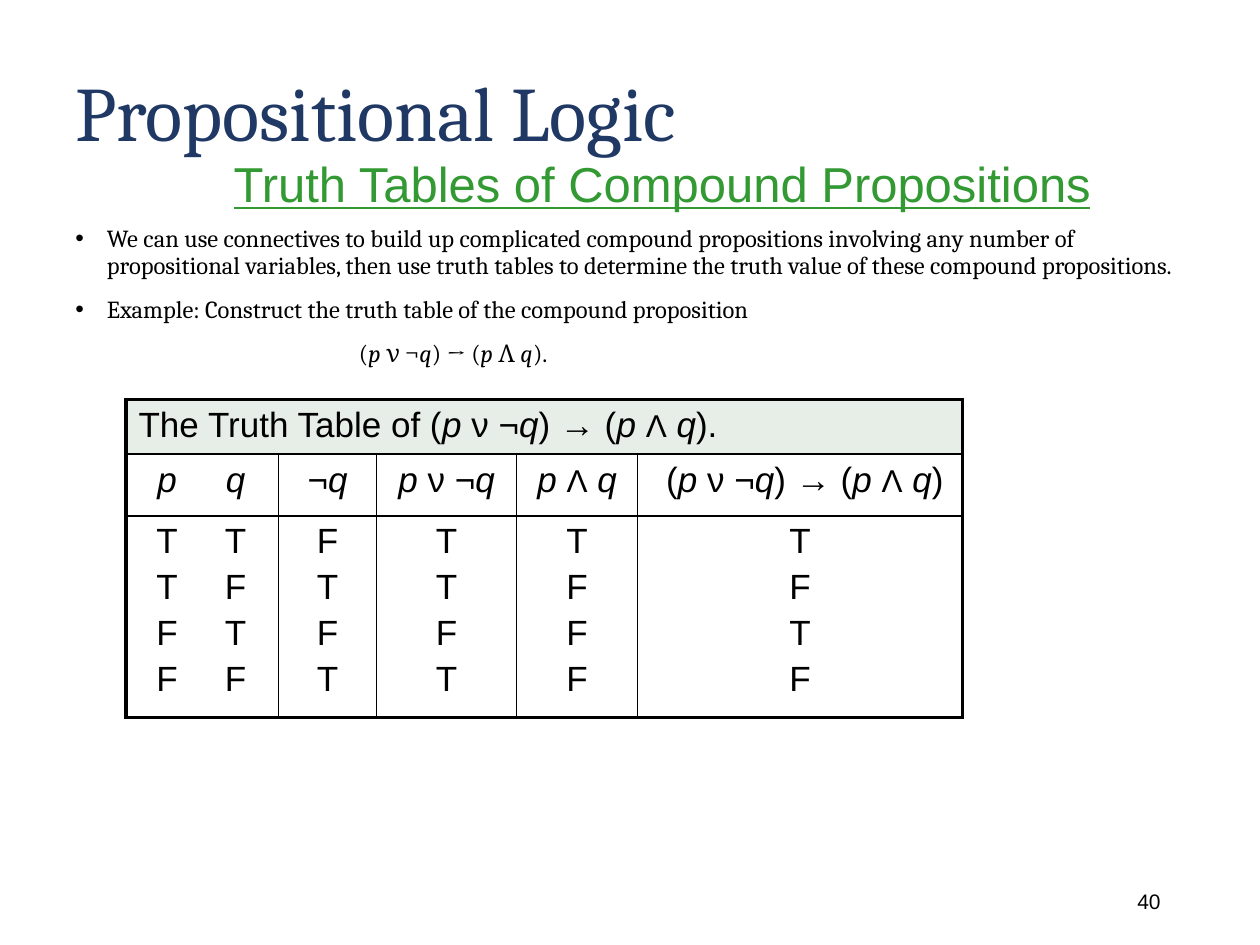
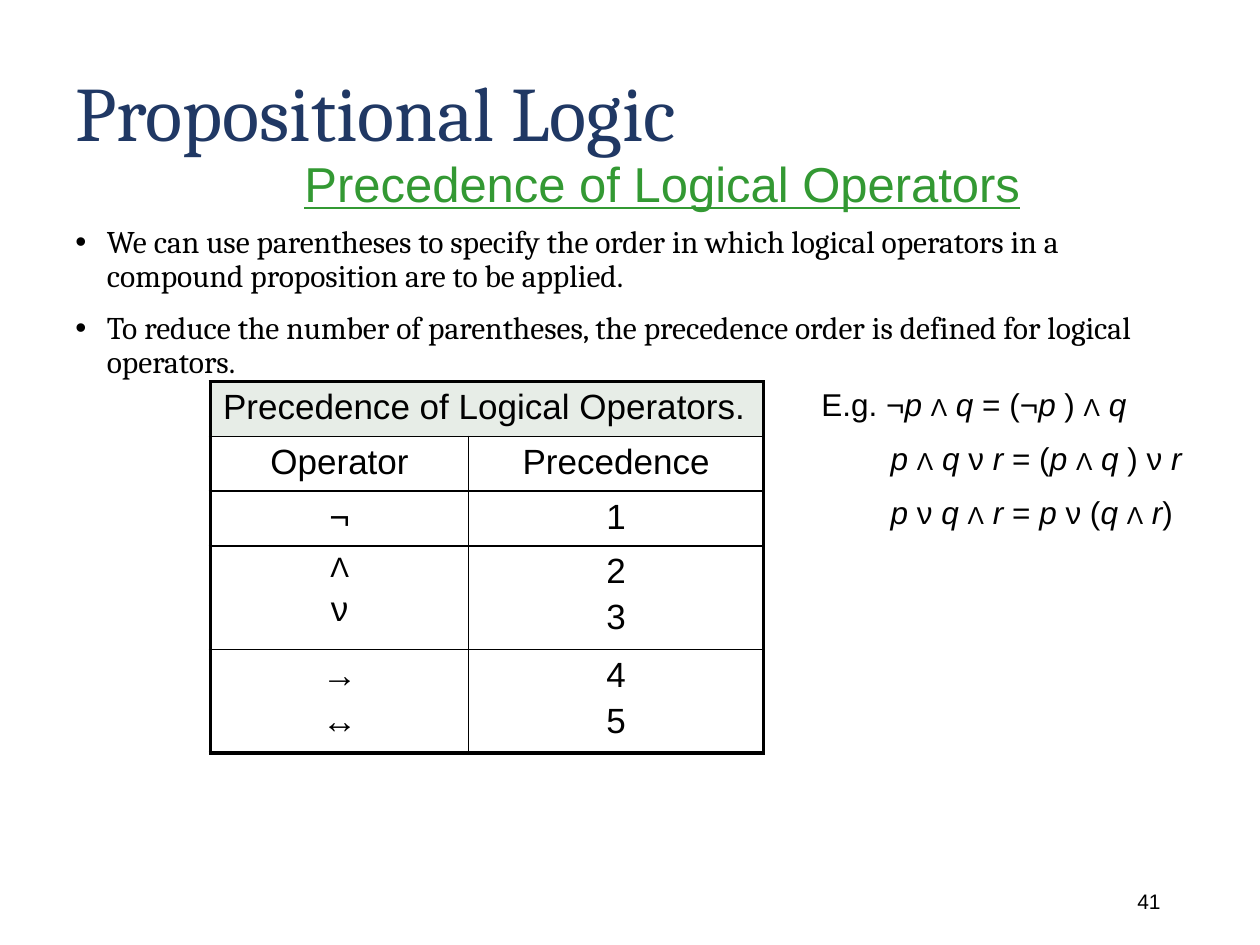
"""Build two slides on truth tables and operator precedence in propositional logic."""
from itertools import groupby

from lxml import etree
from pptx import Presentation
from pptx.dml.color import RGBColor
from pptx.enum.text import MSO_ANCHOR, PP_ALIGN
from pptx.oxml.ns import qn
from pptx.util import Emu, Inches, Pt

NAVY = RGBColor(0x20, 0x38, 0x64)
GREEN = RGBColor(0x33, 0x99, 0x33)
BLACK = RGBColor(0, 0, 0)
PALE_GREEN = RGBColor(0xE7, 0xED, 0xE7)
LEFT, CENTER, RIGHT = PP_ALIGN.LEFT, PP_ALIGN.CENTER, PP_ALIGN.RIGHT
TOP, MIDDLE = MSO_ANCHOR.TOP, MSO_ANCHOR.MIDDLE
SERIF, SANS = "Cambria", "Arial"
COLUMNS, ROWS = 100, 75
THICK, THIN = Pt(2.25), Pt(1)
PAIR_TABS = (2.25, 7.7)


class Deck:
    """Hold the shared style, the grid and the current slide."""

    def __init__(self):
        self.prs = Presentation()
        self.prs.slide_width, self.prs.slide_height = Inches(10), Inches(7.5)
        self.slide = None

    def x(self, columns):
        return Emu(round(self.prs.slide_width * columns / COLUMNS))

    def y(self, rows):
        return Emu(round(self.prs.slide_height * rows / ROWS))

    def place(self, left, top, width, height):
        return self.x(left), self.y(top), self.x(width), self.y(height)

    def start(self, topic, number):
        self.slide = self.prs.slides.add_slide(self.prs.slide_layouts[6])
        title = self.text((5, 3, 90, 12.5), ["Propositional Logic"], 44, SERIF, NAVY, anchor=MIDDLE)
        title.paragraphs[0].line_spacing = 0.9
        heading = self.text((16.7, 11.7, 71.7, 5.7), [topic], 28, SANS, GREEN, CENTER, before=50)
        heading.paragraphs[0].font.underline = True
        self.text((70.6, 69.5, 22.5, 4), [number], 12, SANS, BLACK, RIGHT, MIDDLE)

    def text(self, area, lines, size, font, color=BLACK, align=LEFT, anchor=TOP, **style):
        frame = self.slide.shapes.add_textbox(*self.place(*area)).text_frame
        frame.word_wrap = True
        frame.vertical_anchor = anchor
        self.fill(frame, lines, size, font, color, align, **style)
        return frame

    def fill(self, frame, lines, size, font, color, align, before=0, small=None):
        """Write lines in which *stars* mark italics and small sizes the conjunction sign."""
        for index, line in enumerate(lines):
            paragraph = frame.add_paragraph() if index else frame.paragraphs[0]
            paragraph.alignment = align
            if before:
                self.space_before(paragraph, before)
            paragraph.font.size, paragraph.font.name = Pt(size), font
            paragraph.font.color.rgb = color
            for part, words in enumerate(line.split("*")):
                for is_sign, letters in groupby(words, lambda letter: letter == "Λ"):
                    run = paragraph.add_run()
                    run.text = "".join(letters)
                    if part % 2:
                        run.font.italic = True
                    if is_sign and small:
                        run.font.size = Pt(small)

    def space_before(self, paragraph, percent):
        paragraph.space_before = Pt(0)
        spacing = paragraph._p.pPr.find(qn("a:spcBef"))
        spacing.remove(spacing[0])
        etree.SubElement(spacing, qn("a:spcPct"), val=str(percent * 1000))

    def indent(self, paragraph, margin, first=0):
        properties = paragraph._p.get_or_add_pPr()
        properties.set("marL", str(self.x(margin)))
        properties.set("indent", str(self.x(first)))
        return properties

    def body(self, points, size, formula=None):
        lines = points + ([formula] if formula else [])
        frame = self.text((5, 17.5, 89.2, 27.5), lines, size, SERIF)
        for index, paragraph in enumerate(frame.paragraphs):
            paragraph.line_spacing, paragraph.space_before = 0.9, Pt(10)
            if index == len(points):
                self.indent(paragraph, 22.5)
                continue
            properties = self.indent(paragraph, 2.5, -2.5)
            default_font = properties.find(qn("a:defRPr"))
            for tag, name, value in (("a:buFont", "typeface", SANS), ("a:buChar", "char", "•")):
                default_font.addprevious(etree.Element(qn(tag), {name: value}))

    def table(self, corner, widths, heights, caption, rows, small):
        """Add a boxed table whose caption spans the first row."""
        area = self.place(*corner, sum(widths), sum(heights))
        frame = self.slide.shapes.add_table(len(heights), len(widths), *area)
        table = frame.table
        table.first_row = table.horz_banding = False
        for column, width in zip(table.columns, widths):
            column.width = self.x(width)
        for row, height in zip(table.rows, heights):
            row.height = self.y(height)
        last_row, last_column = len(heights) - 1, len(widths) - 1
        for r in range(len(heights)):
            for c in range(len(widths)):
                cell = table.cell(r, c)
                self.borders(cell, {"L": c == 0 or r == 0, "R": c == last_column or r == 0,
                                    "T": r == 0, "B": r == last_row})
                if r == 0:
                    cell.fill.solid()
                    cell.fill.fore_color.rgb = PALE_GREEN
                else:
                    cell.fill.background()
                    self.fill(cell.text_frame, rows[r - 1][c].split("\n"), 20, SANS, BLACK,
                              CENTER, before=20, small=small)
        table.cell(0, 0).merge(table.cell(0, last_column))
        self.fill(table.cell(0, 0).text_frame, [caption], 20, SANS, BLACK, LEFT, before=20, small=small)
        return table

    def borders(self, cell, outer_sides):
        properties = cell._tc.get_or_add_tcPr()
        for side, outer in outer_sides.items():
            line = etree.SubElement(properties, qn(f"a:ln{side}"), w=str(THICK if outer else THIN))
            paint = etree.SubElement(line, qn("a:solidFill"))
            etree.SubElement(paint, qn("a:srgbClr"), val=str(BLACK))

    def centre_on_tabs(self, cell, stops):
        for paragraph in cell.text_frame.paragraphs:
            paragraph.alignment = LEFT
            tabs = etree.Element(qn("a:tabLst"))
            for stop in stops:
                etree.SubElement(tabs, qn("a:tab"), pos=str(self.x(stop)), algn="ctr")
            paragraph._p.pPr.find(qn("a:defRPr")).addprevious(tabs)


deck = Deck()

deck.start("Truth Tables of Compound Propositions", "40")
compound = "(*p *ν ¬*q*) → (*p *Λ *q*)"
deck.body(["We can use connectives to build up complicated compound propositions involving any number of "
           "propositional variables, then use truth tables to determine the truth value of these "
           "compound propositions.",
           "Example: Construct the truth table of the compound proposition "],
          14, compound + ".")
truth_table = deck.table(
    (10, 31.7), (12.1, 7.8, 11.1, 9.6, 25.8), (4.3, 4.9, 16),
    f"The Truth Table of {compound}.",
    [["*\tp\tq*", "¬*q*", "*p *ν ¬*q*", "*p *Λ *q*", " " + compound],
     ["\tT\tT\n\tT\tF\n\tF\tT\n\tF\tF"]
     + ["\n".join(values) for values in ("FTFT", "TTFT", "TFFF", "TFTF")]],
    small=18)
for r in (1, 2):
    deck.centre_on_tabs(truth_table.cell(r, 0), PAIR_TABS)

deck.start("Precedence of Logical Operators", "41")
deck.body(["We can use parentheses to specify the order in which logical operators in a compound "
           "proposition are to be applied.",
           "To reduce the number of parentheses, the precedence order is defined for logical operators."],
          18)
deck.table(
    (16.7, 30.3), (20.5, 23.4), (4.3, 4.3, 4.3, 8.2, 8.2),
    "Precedence of Logical Operators.",
    [["Operator", "Precedence"], ["¬", "1"], ["Λ\nν", "2\n3"], ["→\n↔", "4\n5"]],
    small=16)
examples = deck.text(
    (64.2, 30.1, 35.8, 13),
    ["E.g. ¬*p *Λ *q* = (¬*p* ) Λ *q*",
     "*p *Λ *q *ν *r *= (*p *Λ *q* ) ν *r*",
     "*p *ν *q *Λ *r* = *p *ν (*q *Λ *r*)"],
    18, SANS, before=50, small=14)
for example in examples.paragraphs[1:]:
    deck.indent(example, 5.5)

deck.prs.save("out.pptx")
